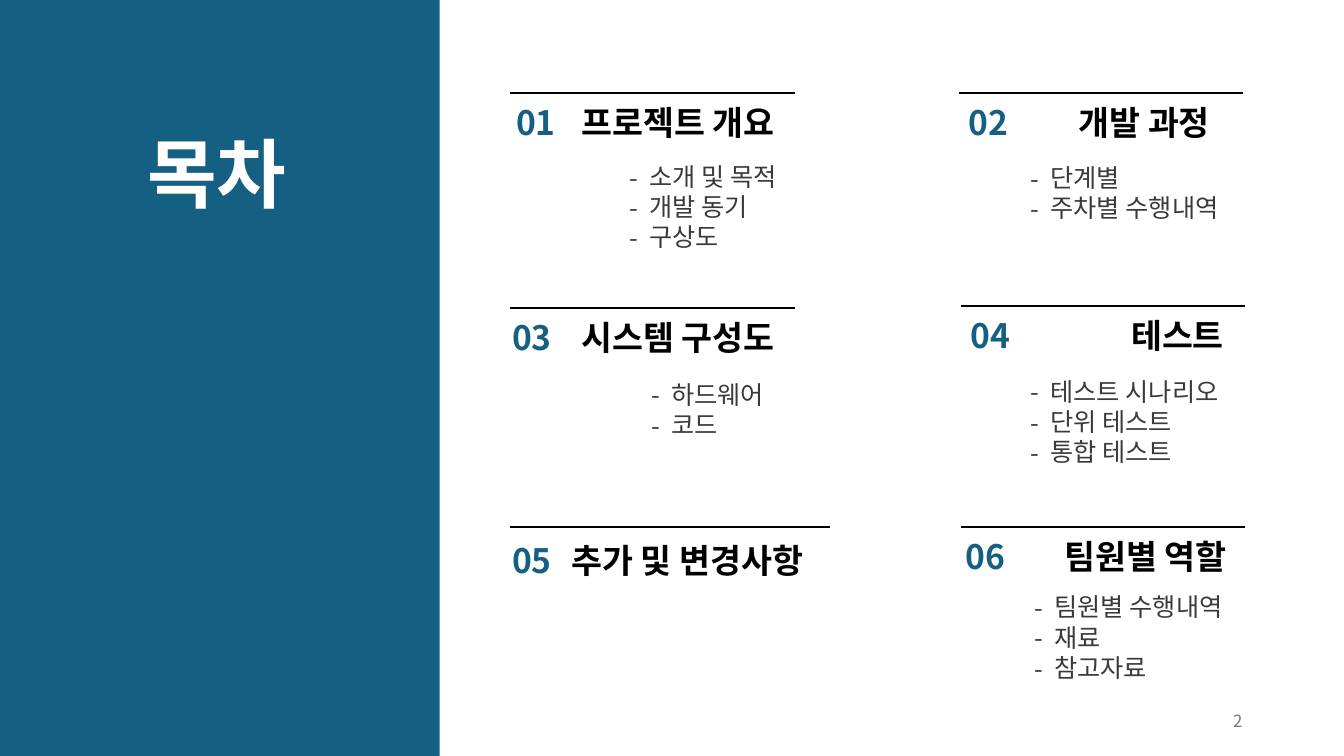
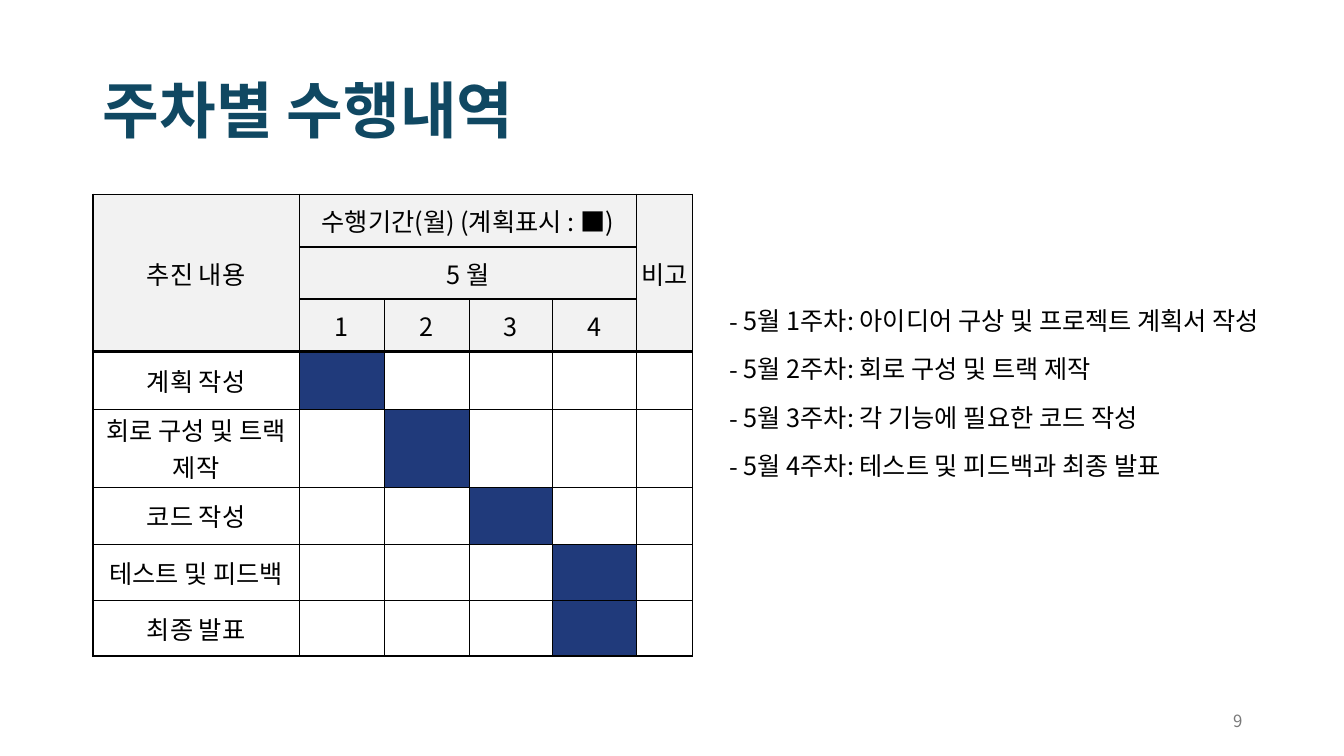
"""Build a contents slide and a weekly schedule slide."""
from dataclasses import dataclass
from typing import Any

import pptx
import pptx.dml.color
import pptx.enum.shapes
import pptx.enum.text
import pptx.oxml.xmlchemy
import pptx.util

Inches = pptx.util.Inches
Pt = pptx.util.Pt
Align = pptx.enum.text.PP_ALIGN
Anchor = pptx.enum.text.MSO_ANCHOR

FONT = "Noto Sans CJK KR"
SLIDE_W, SLIDE_H = 13.33, 7.5
COLORS = {
    "teal": "156082", "title": "104862", "black": "000000", "white": "FFFFFF",
    "item": "3A3A3A", "footer": "797979", "header": "F2F2F2", "plan": "203A7B",
}
THIN, MEDIUM, THICK = 0.28, 1.41, 1.98


@dataclass
class Section:
    number: str
    title: str
    rule: tuple[float, float, float]
    number_at: tuple[float, float]
    title_x: float
    items_at: tuple[float, float] = (0, 0)
    items: tuple[str, ...] = ()


@dataclass
class Task:
    name: str
    week: int


SECTIONS = [
    Section("01", "프로젝트 개요", (5.06, 0.92, 2.83), (5.02, 0.96), 5.67,
            (6.14, 1.55), ("소개 및 목적", "개발 동기", "구상도")),
    Section("02", "개발 과정", (9.51, 0.92, 2.82), (9.51, 0.96), 10.6,
            (10.12, 1.56), ("단계별", "주차별 수행내역")),
    Section("03", "시스템 구성도", (5.06, 3.06, 2.83), (4.98, 3.09), 5.67,
            (6.36, 3.71), ("하드웨어", "코드")),
    Section("04", "테스트", (9.53, 3.04, 2.82), (9.53, 3.08), 11.12,
            (10.12, 3.68), ("테스트 시나리오", "단위 테스트", "통합 테스트")),
    Section("05", "추가 및 변경사항", (5.06, 5.23, 3.17), (4.98, 5.31), 5.57),
    Section("06", "팀원별 역할", (9.53, 5.23, 2.82), (9.48, 5.27), 10.46,
            (10.16, 5.82), ("팀원별 수행내역", "재료", "참고자료")),
]
TASKS = [
    Task("계획 작성", 1), Task("회로 구성 및 트랙 제작", 2), Task("코드 작성", 3),
    Task("테스트 및 피드백", 4), Task("최종 발표", 4),
]
WEEK_NOTES = [
    "5월 1주차: 아이디어 구상 및 프로젝트 계획서 작성",
    "5월 2주차: 회로 구성 및 트랙 제작",
    "5월 3주차: 각 기능에 필요한 코드 작성",
    "5월 4주차: 테스트 및 피드백과 최종 발표",
]
COL_WIDTHS = [2.05, 0.84, 0.84, 0.83, 0.83, 0.56]
ROW_HEIGHTS = [0.52, 0.52, 0.52, 0.57, 0.77, 0.57, 0.56, 0.55]
HEADER_ROWS = 3
ROW_EDGES = [MEDIUM] * HEADER_ROWS + [THICK] + [THIN] * 4 + [MEDIUM]
COL_EDGES = [MEDIUM] + [THIN] * 5 + [MEDIUM]


def rgb(name: str) -> pptx.dml.color.RGBColor:
    return pptx.dml.color.RGBColor.from_string(COLORS[name])


def add_xml(parent: Any, tag: str, **attrs: str) -> Any:
    child = pptx.oxml.xmlchemy.OxmlElement(tag)
    for key, value in attrs.items():
        child.set(key, value)
    parent.append(child)
    return child


def write(p: Any, text: str, *, size: float = 18, color: str = "black",
          bold: bool = False, align: Any = Align.LEFT, spacing: float | None = None,
          dash: float = 0) -> None:
    p.alignment = align
    if spacing:
        p.line_spacing = spacing
    if dash:
        pPr = p._p.get_or_add_pPr()
        pPr.set("marL", str(Inches(dash)))
        pPr.set("indent", str(-Inches(dash)))
        add_xml(pPr, "a:buFont", typeface=FONT)
        add_xml(pPr, "a:buChar", char="-")
    r = p.add_run()
    r.text = text
    r.font.name = FONT
    r.font.size = Pt(size)
    r.font.bold = bold
    r.font.color.rgb = rgb(color)
    add_xml(r._r.get_or_add_rPr(), "a:ea", typeface=FONT)


def add_text(s: Any, x: float, y: float, w: float, h: float, *lines: str,
             anchor: Any = Anchor.TOP, **style: Any) -> None:
    sp = s.shapes.add_textbox(*map(Inches, (x, y, min(w, SLIDE_W - x), h)))
    tf = sp.text_frame
    tf.word_wrap = True
    tf.vertical_anchor = anchor
    for i, line in enumerate(lines):
        write(tf.add_paragraph() if i else tf.paragraphs[0], line, **style)


def add_rule(s: Any, x: float, y: float, w: float) -> None:
    line = s.shapes.add_connector(pptx.enum.shapes.MSO_CONNECTOR.STRAIGHT,
                                  *map(Inches, (x, y, x + w, y)))
    line.line.color.rgb = rgb("black")
    line.line.width = Pt(1.5)
    add_xml(line._element.spPr, "a:effectLst")


def add_slide(prs: Any, page: int) -> Any:
    s = prs.slides.add_slide(prs.slide_layouts[6])
    add_text(s, 9.42, 6.95, 3, 0.4, str(page), size=12, color="footer",
             align=Align.RIGHT, anchor=Anchor.MIDDLE)
    return s


def add_section(s: Any, section: Section) -> None:
    add_rule(s, *section.rule)
    x, y = section.number_at
    add_text(s, x, y, 1.38, 0.5, section.number, size=24, color="teal", bold=True)
    add_text(s, section.title_x, y, 3, 0.5, section.title, size=24, bold=True)
    if section.items:
        add_text(s, *section.items_at, 3.49, 0.11 + 0.3 * len(section.items),
                 *section.items, color="item", dash=0.2)


def build_contents(prs: Any) -> None:
    s = add_slide(prs, 2)
    sp = s.shapes.add_shape(pptx.enum.shapes.MSO_SHAPE.RECTANGLE,
                            0, 0, Inches(4.36), Inches(SLIDE_H))
    sp.shadow.inherit = False
    sp.fill.solid()
    sp.fill.fore_color.rgb = rgb("teal")
    sp.line.fill.background()
    add_text(s, 1.36, 1.21, 2.82, 1.01, "목차", size=54, color="white", bold=True)
    for section in SECTIONS:
        add_section(s, section)


def set_borders(cell: Any, row: int, col: int) -> None:
    bottom = row + (cell.span_height if cell.is_merge_origin else 1)
    right = col + (cell.span_width if cell.is_merge_origin else 1)
    widths = {"L": COL_EDGES[col], "R": COL_EDGES[right],
              "T": ROW_EDGES[row], "B": ROW_EDGES[bottom]}
    tcPr = cell._tc.get_or_add_tcPr()
    for side, width in widths.items():
        ln = add_xml(tcPr, f"a:ln{side}", w=str(Pt(width)))
        add_xml(add_xml(ln, "a:solidFill"), "a:srgbClr", val=COLORS["black"])


def format_cell(cell: Any, row: int, col: int, fill: str | None) -> None:
    cell.margin_left = cell.margin_right = Inches(0.02)
    cell.margin_top = cell.margin_bottom = Inches(0.02)
    cell.vertical_anchor = Anchor.MIDDLE
    if not cell.is_spanned:
        set_borders(cell, row, col)
    if fill:
        cell.fill.solid()
        cell.fill.fore_color.rgb = rgb(fill)
    else:
        cell.fill.background()


def add_schedule(s: Any, x: float, y: float) -> None:
    table = s.shapes.add_table(
        len(ROW_HEIGHTS), len(COL_WIDTHS), Inches(x), Inches(y),
        Inches(sum(COL_WIDTHS)), Inches(sum(ROW_HEIGHTS))).table
    for column, width in zip(table.columns, COL_WIDTHS):
        column.width = Inches(width)
    for row, height in zip(table.rows, ROW_HEIGHTS):
        row.height = Inches(height)
    for first, last in (((0, 0), (2, 0)), ((0, 1), (0, 4)),
                        ((1, 1), (1, 4)), ((0, 5), (2, 5))):
        table.cell(*first).merge(table.cell(*last))

    labels = {(0, 0): "추진 내용", (0, 1): "수행기간(월) (계획표시 : ■)",
              (0, 5): "비고", (1, 1): "5 월"}
    labels |= {(2, week): str(week) for week in range(1, 5)}
    labels |= {(HEADER_ROWS + i, 0): task.name for i, task in enumerate(TASKS)}
    planned = {(HEADER_ROWS + i, task.week) for i, task in enumerate(TASKS)}
    for row in range(len(ROW_HEIGHTS)):
        for col in range(len(COL_WIDTHS)):
            cell = table.cell(row, col)
            fill = "header" if row < HEADER_ROWS else None
            if (row, col) in planned:
                fill = "plan"
            format_cell(cell, row, col, fill)
            if (row, col) in labels:
                write(cell.text_frame.paragraphs[0], labels[row, col],
                      align=Align.CENTER)


def build_schedule(prs: Any) -> None:
    s = add_slide(prs, 9)
    add_text(s, 0.92, 0.4, 11.5, 1.45, "주차별 수행내역", size=44, color="title",
             bold=True, spacing=0.9, anchor=Anchor.MIDDLE)
    add_schedule(s, 0.92, 1.93)
    add_text(s, 7.14, 2.8, 6.19, 2.11, *WEEK_NOTES, spacing=1.6, dash=0.14)


def main() -> None:
    prs = pptx.Presentation()
    prs.slide_width = Inches(SLIDE_W)
    prs.slide_height = Inches(SLIDE_H)
    build_contents(prs)
    build_schedule(prs)
    prs.save("out.pptx")


if __name__ == "__main__":
    main()
